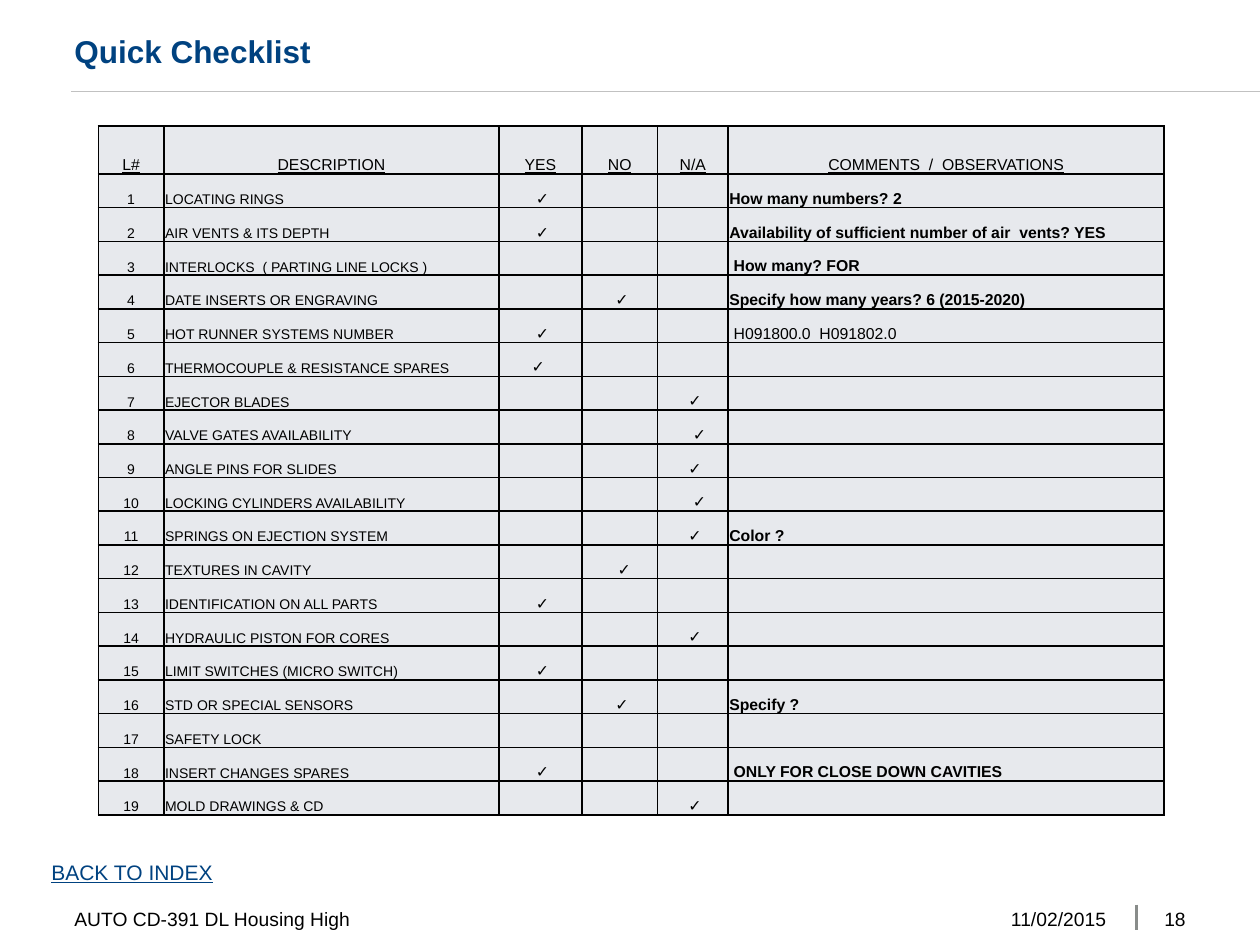
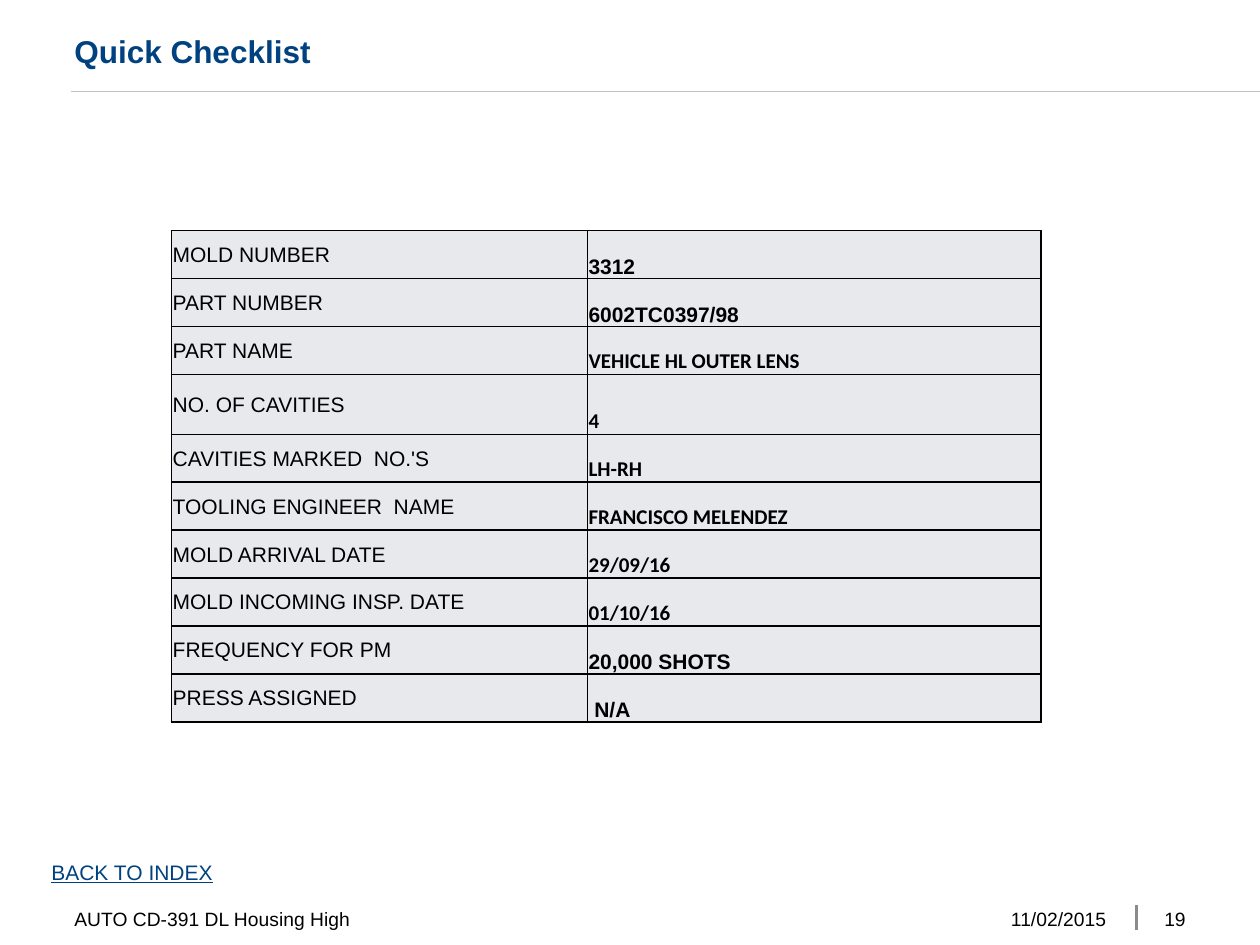
import pptx
import pptx.util
import pptx.dml.color
import pptx.enum.shapes
import pptx.enum.text
import lxml.etree

Pt = pptx.util.Pt
ALIGN = pptx.enum.text.PP_ALIGN
ANCHOR = pptx.enum.text.MSO_ANCHOR
DRAWING = "{http://schemas.openxmlformats.org/drawingml/2006/main}"

BLUE, BLACK, CELL_GREY = "004280", "000000", "E7E9ED"
RULE_GREY, DIVIDER_GREY = "C1C1C1", "898C8A"
FONT = "Arial"
SLIDE_WIDTH, SLIDE_HEIGHT = 720, 540

# Checklist: description, answer column, mark, comment
CHECKLIST_HEADINGS = ["L#", "DESCRIPTION", "YES", "NO", "N/A", "COMMENTS  /  OBSERVATIONS"]
CHECKLIST_WIDTHS = [37.4, 191.5, 47.5, 43.2, 40.3, 249.1]
CHECKLIST = [
    ("LOCATING RINGS", "YES", " ✓", "How many numbers? 2"),
    ("AIR VENTS & ITS DEPTH", "YES", " ✓", "Availability of sufficient number of air  vents? YES"),
    ("INTERLOCKS  ( PARTING LINE LOCKS )", "", "", " How many? FOR"),
    ("DATE INSERTS OR ENGRAVING", "NO", " ✓", "Specify how many years? 6 (2015-2020)"),
    ("HOT RUNNER SYSTEMS NUMBER", "YES", " ✓", " H091800.0  H091802.0"),
    ("THERMOCOUPLE & RESISTANCE SPARES", "YES", "✓ ", ""),
    ("EJECTOR BLADES", "N/A", " ✓", ""),
    ("VALVE GATES AVAILABILITY", "N/A", "   ✓", ""),
    ("ANGLE PINS FOR SLIDES", "N/A", " ✓", ""),
    ("LOCKING CYLINDERS AVAILABILITY", "N/A", "   ✓", ""),
    ("SPRINGS ON EJECTION SYSTEM", "N/A", " ✓", "Color ?"),
    ("TEXTURES IN CAVITY", "NO", "  ✓", ""),
    ("IDENTIFICATION ON ALL PARTS", "YES", " ✓", ""),
    ("HYDRAULIC PISTON FOR CORES", "N/A", " ✓", ""),
    ("LIMIT SWITCHES (MICRO SWITCH)", "YES", " ✓", ""),
    ("STD OR SPECIAL SENSORS", "NO", " ✓", "Specify ?"),
    ("SAFETY LOCK", "", "", ""),
    ("INSERT CHANGES SPARES", "YES", " ✓", " ONLY FOR CLOSE DOWN CAVITIES"),
    ("MOLD DRAWINGS & CD", "N/A", " ✓", ""),
]
PLAIN_COMMENT_ROW = 5

# Mold data: label, value, font of the value
MOLD_WIDTHS = [237.6, 259.2]
MOLD_DATA = [
    ("MOLD NUMBER", "3312", FONT),
    ("PART NUMBER", "6002TC0397/98", FONT),
    ("PART NAME", "VEHICLE HL OUTER LENS", "Calibri"),
    ("NO. OF CAVITIES", "4", "Calibri"),
    ("CAVITIES MARKED  NO.'S", "LH-RH", "Calibri"),
    ("TOOLING ENGINEER  NAME", "FRANCISCO MELENDEZ", "Calibri"),
    ("MOLD ARRIVAL DATE", "29/09/16", "Calibri"),
    ("MOLD INCOMING INSP. DATE", "01/10/16", "Calibri"),
    ("FREQUENCY FOR PM", "20,000 SHOTS", FONT),
    ("PRESS ASSIGNED", " N/A", FONT),
]
CAVITIES_ROW = 3


def color(hex_string):
    return pptx.dml.color.RGBColor.from_string(hex_string)


def write(text_frame, text, size, ink=BLACK, font=FONT, bold=False, underline=False,
          align=ALIGN.LEFT):
    text_frame.text = text
    paragraph = text_frame.paragraphs[0]
    paragraph.alignment = align
    for run in paragraph.runs:
        run.font.name, run.font.size = font, Pt(size)
        run.font.bold, run.font.underline = bold, underline
        run.font.color.rgb = color(ink)
    return paragraph


def add_text(slide, box, text, size, inset=(0, 0), wrap=True, anchor=ANCHOR.TOP, **style):
    text_frame = slide.shapes.add_textbox(*[Pt(length) for length in box]).text_frame
    text_frame.margin_left = text_frame.margin_right = Pt(inset[0])
    text_frame.margin_top = text_frame.margin_bottom = Pt(inset[1])
    text_frame.word_wrap = wrap
    text_frame.vertical_anchor = anchor
    return write(text_frame, text, size, **style)


def add_line(slide, start, end, ink, width):
    line = slide.shapes.add_connector(pptx.enum.shapes.MSO_CONNECTOR.STRAIGHT,
                                      *[Pt(length) for length in (*start, *end)])
    line.line.color.rgb = color(ink)
    line.line.width = Pt(width)
    lxml.etree.SubElement(line._element.spPr, DRAWING + "effectLst")


def add_grid(slide, left, top, widths, heights):
    """Add a table of grey cells with thin black borders."""
    frame = slide.shapes.add_table(len(heights), len(widths), Pt(left), Pt(top),
                                   Pt(sum(widths)), Pt(sum(heights)))
    table = frame.table
    table.first_row = table.horz_banding = False
    for column, width in zip(table.columns, widths):
        column.width = Pt(width)
    for row, height in zip(table.rows, heights):
        row.height = Pt(height)
    for cell in table.iter_cells():
        cell.margin_left = cell.margin_right = cell.margin_top = Pt(0.72)
        cell.margin_bottom = 0
        cell.vertical_anchor = ANCHOR.BOTTOM
        properties = cell._tc.get_or_add_tcPr()
        for side in ("lnL", "lnR", "lnT", "lnB"):
            border = lxml.etree.SubElement(properties, DRAWING + side, w=str(Pt(1)))
            fill = lxml.etree.SubElement(border, DRAWING + "solidFill")
            lxml.etree.SubElement(fill, DRAWING + "srgbClr", val=BLACK)
        cell.fill.solid()
        cell.fill.fore_color.rgb = color(CELL_GREY)
        # Small end mark, so that empty cells do not stretch their row
        paragraph = cell.text_frame.paragraphs[0]
        lxml.etree.SubElement(paragraph._p, DRAWING + "endParaRPr", sz="800")
    return table


def add_header(slide, left, top, title):
    paragraph = add_text(slide, (left, top, 476.6, 25.2), title, 18, ink=BLUE, bold=True,
                         anchor=ANCHOR.MIDDLE)
    paragraph.line_spacing = Pt(22)
    add_line(slide, (left - 2, top + 36), (SLIDE_WIDTH, top + 36), RULE_GREY, 0.1)


def add_footer(slide, left, top, number):
    add_text(slide, (left - 20.2, top - 31, 108, 21.6), "BACK TO INDEX", 12, inset=(7.2, 3.6),
             wrap=False, ink=BLUE, underline=True)
    add_text(slide, (left, top, 297.4, 18.7), "AUTO CD-391 DL Housing High", 11, wrap=False)
    add_text(slide, (left + 478, top, 111.6, 16.6), "11/02/2015", 11, align=ALIGN.RIGHT)
    add_line(slide, (left + 607, top - 1.4), (left + 607, top + 13), DIVIDER_GREY, 1.5)
    add_text(slide, (left + 622.8, top, 25.2, 15.8), str(number), 11)


def add_checklist(slide, left, top):
    heights = [27.4] + [19.29] * len(CHECKLIST)
    table = add_grid(slide, left, top, CHECKLIST_WIDTHS, heights)
    for column, heading in enumerate(CHECKLIST_HEADINGS):
        write(table.cell(0, column).text_frame, heading, 9, underline=True, align=ALIGN.CENTER)
    for row, (description, answer, mark, comment) in enumerate(CHECKLIST, 1):
        write(table.cell(row, 0).text_frame, str(row), 8, align=ALIGN.CENTER)
        write(table.cell(row, 1).text_frame, description, 8)
        if answer:
            column = CHECKLIST_HEADINGS.index(answer)
            write(table.cell(row, column).text_frame, mark, 9, align=ALIGN.CENTER)
        if comment:
            write(table.cell(row, 5).text_frame, comment, 9, bold=row != PLAIN_COMMENT_ROW)


def add_mold_data(slide, left, top):
    heights = [34.2 if row == CAVITIES_ROW else 27.4 for row in range(len(MOLD_DATA))]
    table = add_grid(slide, left, top, MOLD_WIDTHS, heights)
    for row, (label, value, font) in enumerate(MOLD_DATA):
        table.cell(row, 0).vertical_anchor = ANCHOR.MIDDLE
        write(table.cell(row, 0).text_frame, label, 12)
        write(table.cell(row, 1).text_frame, value, 12, font=font, bold=True)


def add_slide(presentation, number):
    slide = presentation.slides.add_slide(presentation.slide_layouts[6])
    add_header(slide, 42.5, 16, "Quick Checklist")
    add_footer(slide, 42.5, 518.4, number)
    return slide


def main():
    presentation = pptx.Presentation()
    presentation.slide_width, presentation.slide_height = Pt(SLIDE_WIDTH), Pt(SLIDE_HEIGHT)
    add_checklist(add_slide(presentation, 18), 56.2, 72)
    add_mold_data(add_slide(presentation, 19), 98, 131.8)
    presentation.save("out.pptx")


if __name__ == "__main__":
    main()
